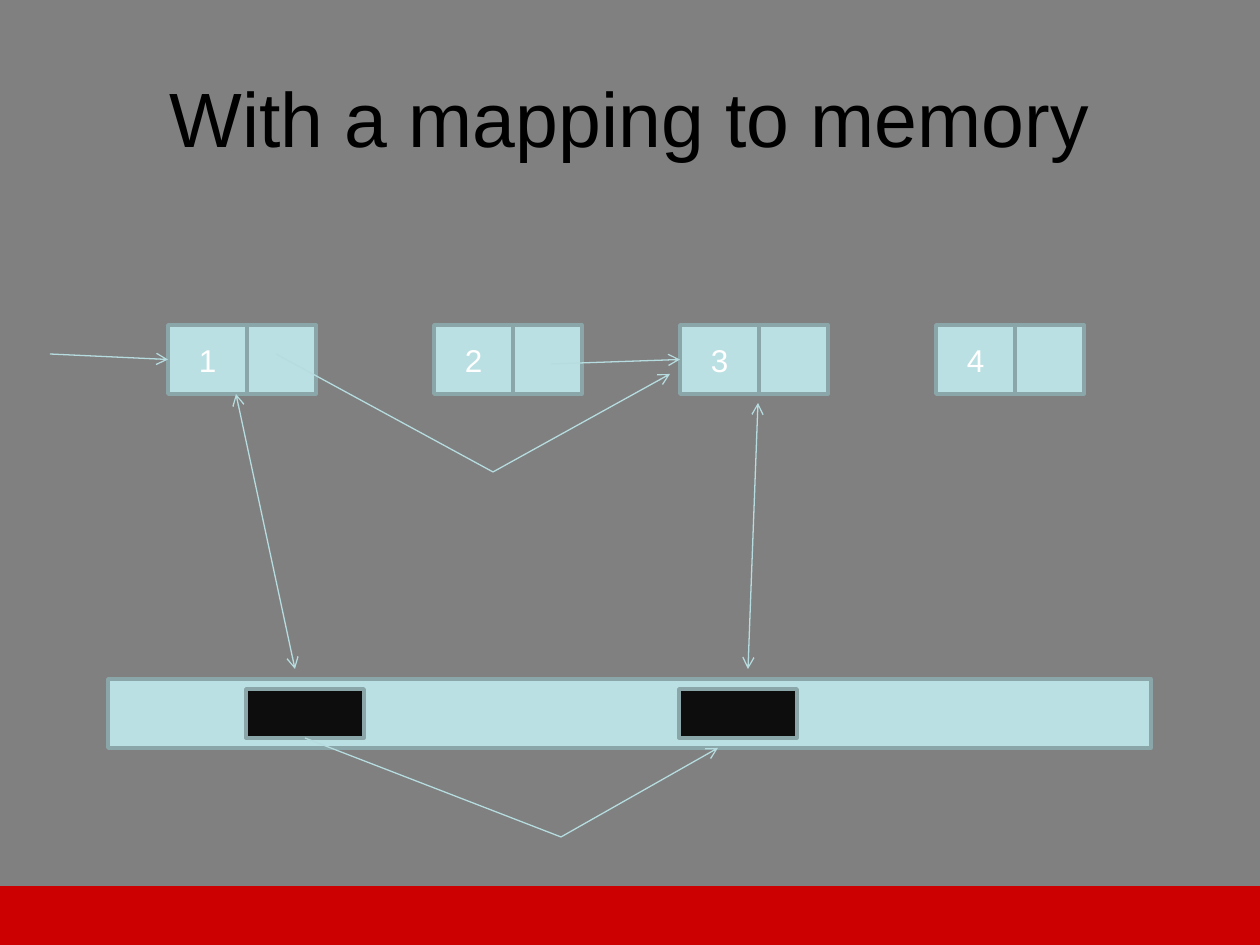
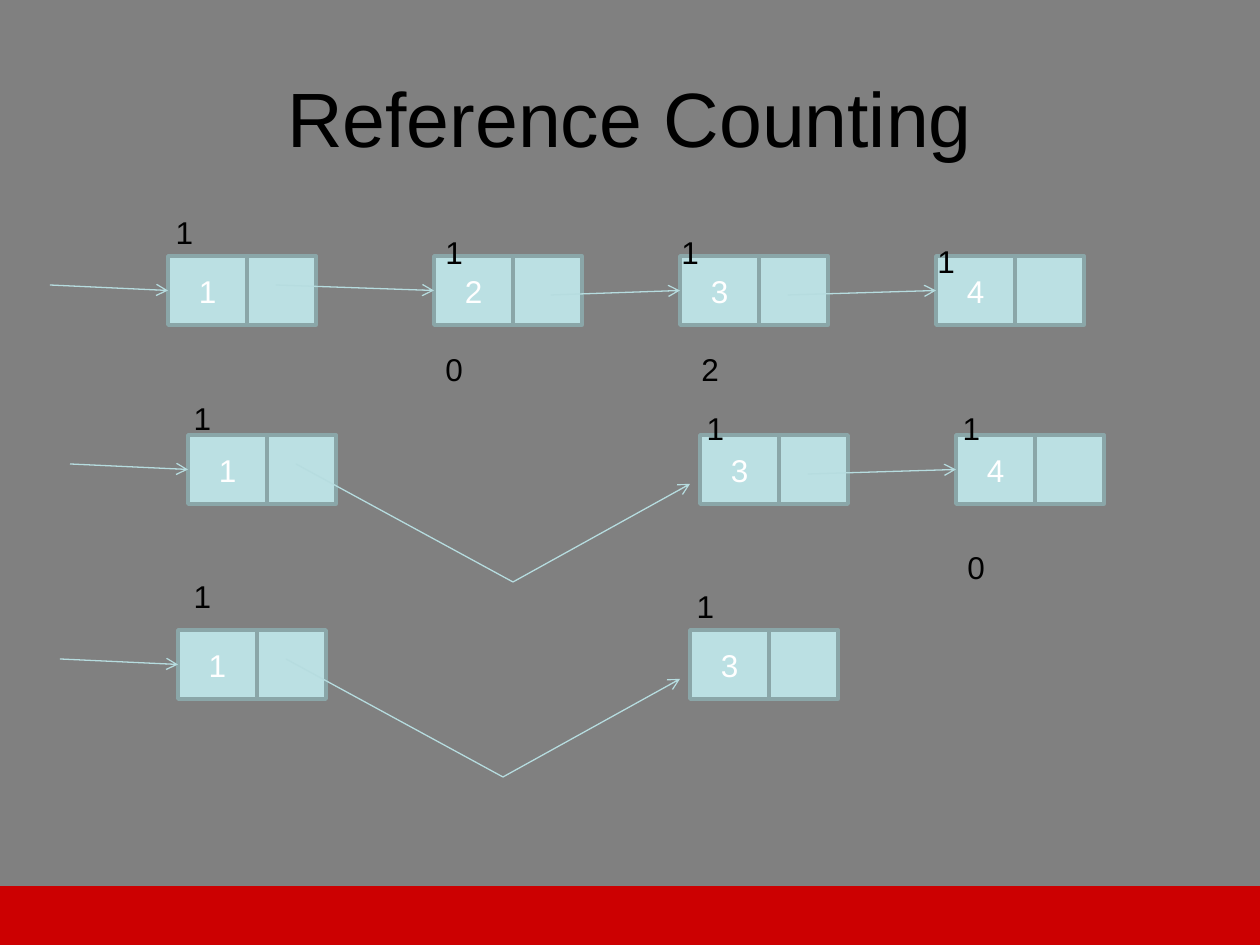
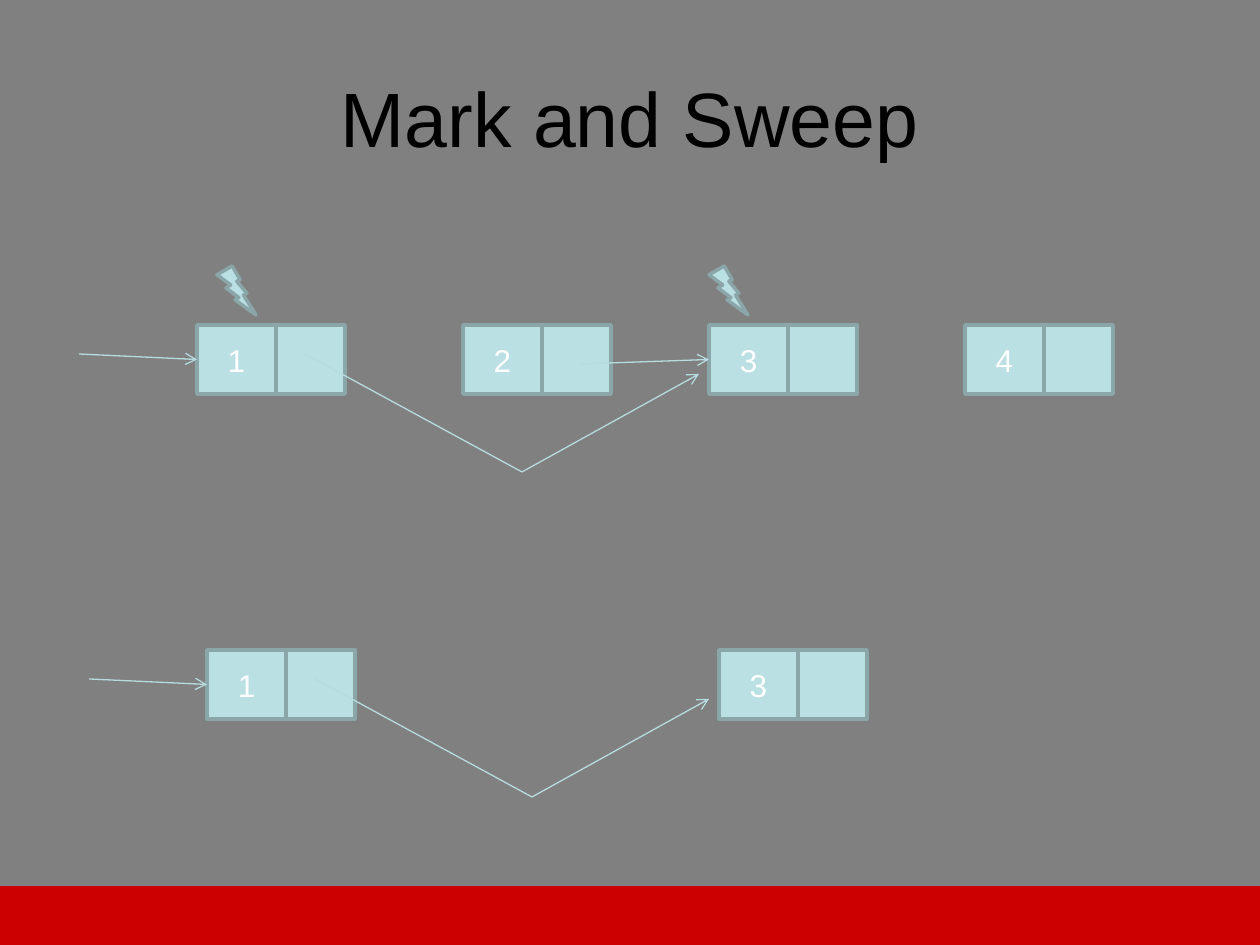
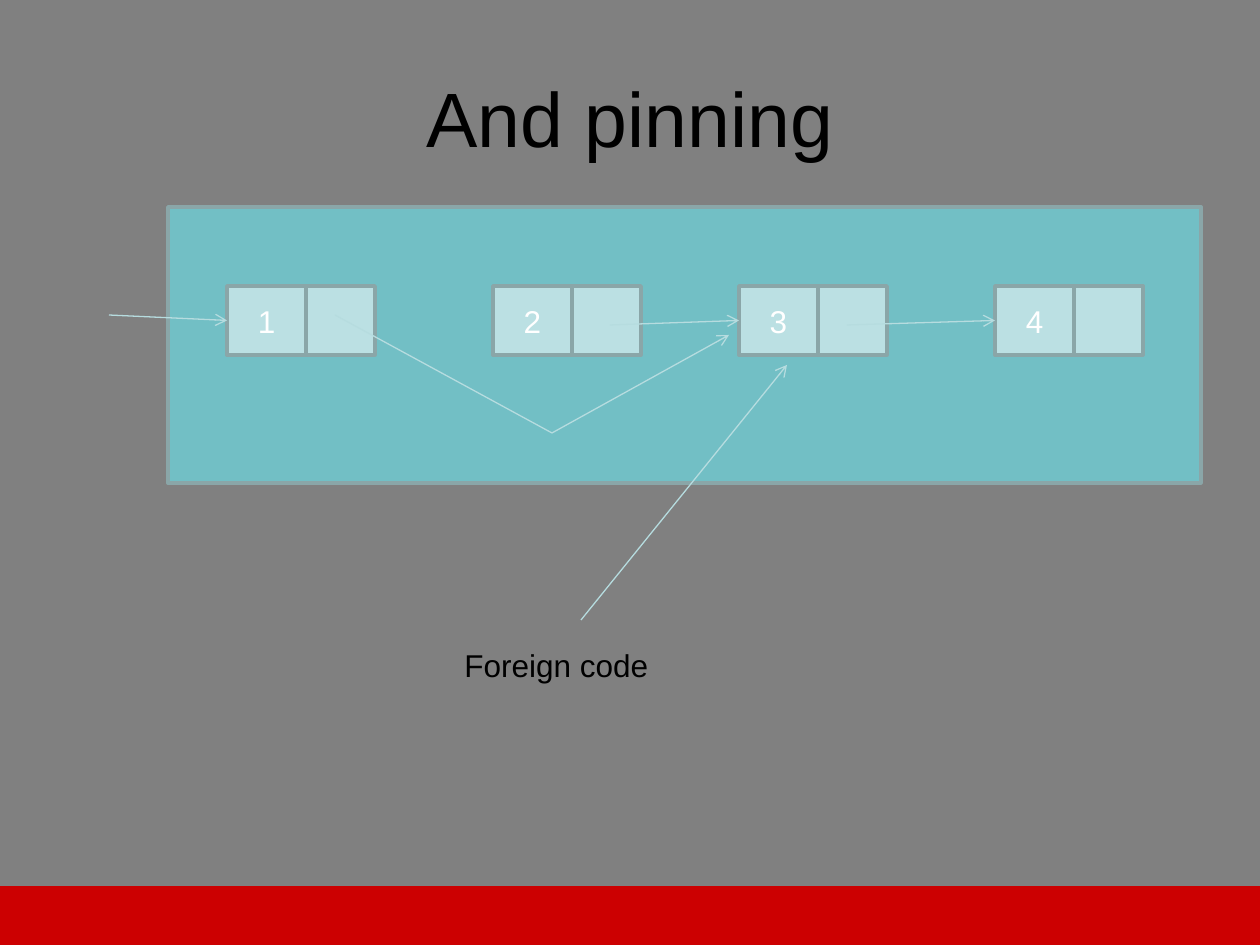
import pptx
import pptx.dml.color
import pptx.enum.shapes
import pptx.enum.text
import pptx.oxml.ns
import pptx.util
from lxml import etree

SCALE = 914400 / 126
FONT = "Arial"
COLORS = {
    "background": "808080",
    "footer": "CC0001",
    "title": "000000",
    "label": "000000",
    "node": "BBE0E3",
    "outline": "8AA6A8",
    "arrow": "B6DCDF",
    "panel": "72BFC5",
    "used": "0D0D0D",
    "value": "FFFFFF",
}
CELL_WIDTH, POINTER_WIDTH, CELL_HEIGHT = 79, 69, 69
NODE_OFFSETS = {1: 0, 2: 266, 3: 512, 4: 768}
LINK_STARTS = {1: (-118, 29), 2: (108, 29), 3: (383, 39), 4: (620, 39)}
BYPASS = [(108, 29), (325, 147), (502, 49)]
LABEL_HEIGHT, NARROW, WIDE = 51, 20, 43
RECTANGLE = pptx.enum.shapes.MSO_SHAPE.RECTANGLE
BOLT = pptx.enum.shapes.MSO_SHAPE.LIGHTNING_BOLT


def add_box(page, frame, kind=RECTANGLE, fill="node", line="outline",
            text="", size=18, color="value", centered=True, wrap=True):
    place = [round(length * SCALE) for length in frame]
    if kind is None:
        box = page.shapes.add_textbox(*place)
    else:
        box = page.shapes.add_shape(kind, *place)
        box.shadow.inherit = False
        box.fill.solid()
        box.fill.fore_color.rgb = pptx.dml.color.RGBColor.from_string(COLORS[fill])
        if line:
            box.line.color.rgb = pptx.dml.color.RGBColor.from_string(COLORS[line])
            box.line.width = pptx.util.Pt(2)
        else:
            box.line.fill.background()
    if text:
        box.text_frame.word_wrap = wrap
        para = box.text_frame.paragraphs[0]
        if centered:
            box.text_frame.vertical_anchor = pptx.enum.text.MSO_ANCHOR.MIDDLE
            para.alignment = pptx.enum.text.PP_ALIGN.CENTER
        else:
            box.text_frame.auto_size = pptx.enum.text.MSO_AUTO_SIZE.SHAPE_TO_FIT_TEXT
        span = para.add_run()
        span.text = text
        span.font.name = FONT
        span.font.size = pptx.util.Pt(size)
        span.font.color.rgb = pptx.dml.color.RGBColor.from_string(COLORS[color])
    return box


def add_line(page, start, end, ends=("tailEnd",)):
    place = [round(length * SCALE) for length in (*start, *end)]
    line = page.shapes.add_connector(pptx.enum.shapes.MSO_CONNECTOR.STRAIGHT, *place)
    line.line.color.rgb = pptx.dml.color.RGBColor.from_string(COLORS["arrow"])
    line.line.width = pptx.util.Pt(0.75)
    outline = line.line._get_or_add_ln()
    for tip in ends:
        etree.SubElement(outline, pptx.oxml.ns.qn("a:" + tip), type="arrow")
    etree.SubElement(line._element.spPr, pptx.oxml.ns.qn("a:effectLst"))
    return line


deck = pptx.Presentation()
deck.slide_width = round(1260 * SCALE)
deck.slide_height = round(945 * SCALE)

pages = []
for title in ["With a mapping to memory", "Reference Counting", "Mark and Sweep", "And pinning"]:
    page = deck.slides.add_slide(deck.slide_layouts[6])
    page.background.fill.solid()
    page.background.fill.fore_color.rgb = pptx.dml.color.RGBColor.from_string(COLORS["background"])
    if title == "And pinning":
        add_box(page, (168, 207, 1033, 276), fill="panel")
    add_box(page, (63, 38, 1134, 157), None, text=title, size=44, color="title")
    add_box(page, (0, 886, 1260, 59), fill="footer", line=None)
    pages.append(page)
memory_page, counting_page, sweep_page, pinning_page = pages

linked_lists = [
    (memory_page, 168, 325, [1, 2, 3, 4], [1, 3], True),
    (counting_page, 168, 256, [1, 2, 3, 4], [1, 2, 3, 4], False),
    (counting_page, 188, 435, [1, 3, 4], [1, 4], True),
    (counting_page, 178, 630, [1, 3], [1], True),
    (sweep_page, 197, 325, [1, 2, 3, 4], [1, 3], True),
    (sweep_page, 207, 650, [1, 3], [1], True),
    (pinning_page, 227, 286, [1, 2, 3, 4], [1, 3, 4], True),
]
for page, left, top, values, targets, bypassed in linked_lists:
    nodes = {}
    for value in values:
        x = left + NODE_OFFSETS[value]
        nodes[value] = add_box(page, (x, top, CELL_WIDTH, CELL_HEIGHT), text=str(value))
        add_box(page, (x + CELL_WIDTH, top, POINTER_WIDTH, CELL_HEIGHT))
    for target in targets:
        x, y = LINK_STARTS[target]
        end = (left + NODE_OFFSETS[target], top + CELL_HEIGHT / 2)
        link = add_line(page, (left + x, top + y), end)
        link.end_connect(nodes[target], 1)
    if bypassed:
        start, bend, end = [(left + x, top + y) for x, y in BYPASS]
        add_line(page, start, bend, ())
        add_line(page, bend, end)

add_box(memory_page, (108, 679, 1043, 69))
first_block, second_block = [
    add_box(memory_page, (x, 689, 118, 49), fill="used") for x in (246, 679)
]
for start, end in [((236, 394), (295, 669)), ((758, 403), (748, 669))]:
    add_line(memory_page, start, end, ("headEnd", "tailEnd"))
block_link = add_line(memory_page, (305, 738), (561, 837), ())
block_link.begin_connect(first_block, 2)
add_line(memory_page, (561, 837), (718, 748))

for x in (217, 709):
    add_box(sweep_page, (x, 266, 39, 49), BOLT)

add_line(pinning_page, (581, 620), (787, 365))

labels = [
    (counting_page, "1", 168, 207, NARROW),
    (counting_page, "1", 433, 227, WIDE),
    (counting_page, "1", 669, 227, WIDE),
    (counting_page, "1", 925, 236, WIDE),
    (counting_page, "0", 433, 344, WIDE),
    (counting_page, "2", 689, 344, WIDE),
    (counting_page, "1", 186, 393, NARROW),
    (counting_page, "1", 699, 403, NARROW),
    (counting_page, "1", 955, 403, NARROW),
    (counting_page, "0", 955, 542, WIDE),
    (counting_page, "1", 186, 571, NARROW),
    (counting_page, "1", 689, 581, NARROW),
    (pinning_page, "Foreign code", 452, 640, 210),
]
for page, text, x, y, width in labels:
    add_box(page, (x, y, width, LABEL_HEIGHT), None, text=text, color="label",
            centered=False, wrap=width == NARROW)

deck.save("out.pptx")
